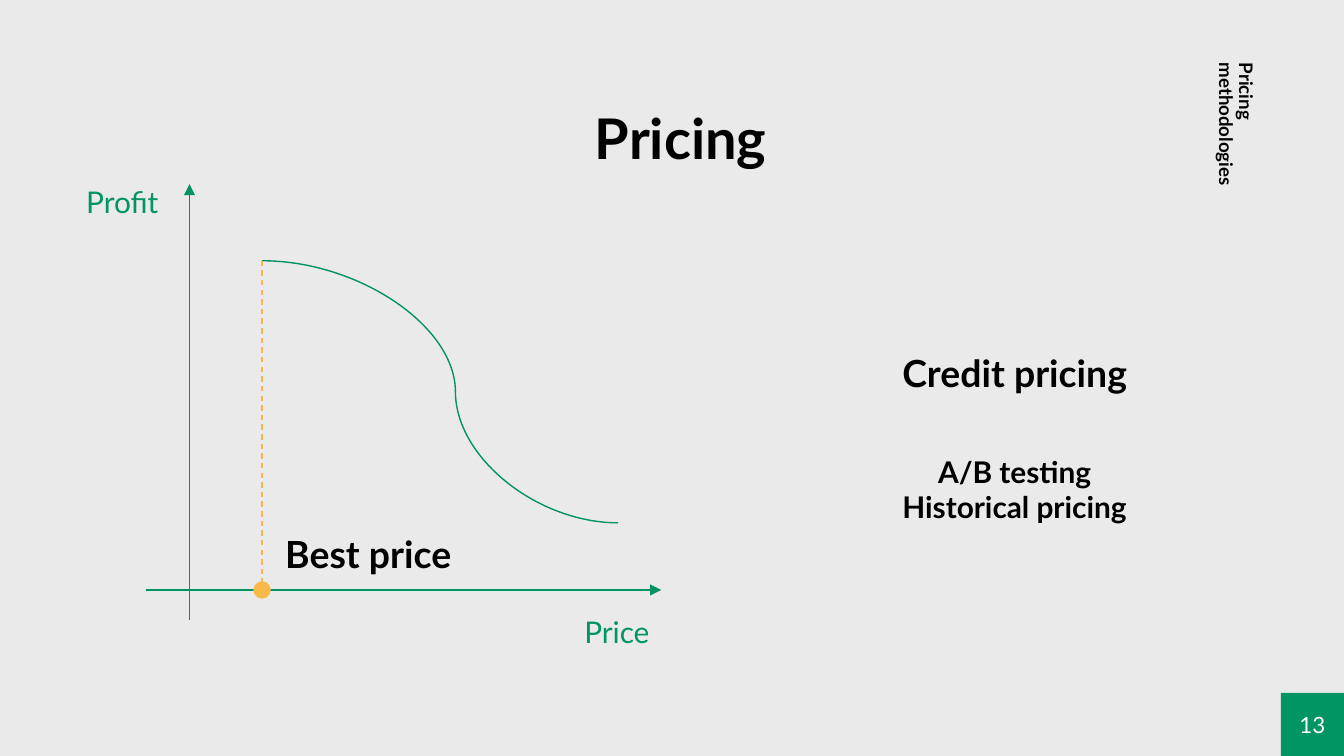
from lxml import etree
from pptx import Presentation
from pptx.dml.color import RGBColor
from pptx.enum.dml import MSO_LINE
from pptx.enum.shapes import MSO_CONNECTOR, MSO_SHAPE
from pptx.enum.text import MSO_ANCHOR, MSO_AUTO_SIZE, PP_ALIGN
from pptx.oxml.ns import qn
from pptx.util import Inches, Pt

STRAIGHT, CURVE = MSO_CONNECTOR.STRAIGHT, MSO_CONNECTOR.CURVE
RECTANGLE, OVAL = MSO_SHAPE.RECTANGLE, MSO_SHAPE.OVAL
TOP, MIDDLE = MSO_ANCHOR.TOP, MSO_ANCHOR.MIDDLE
LEFT, CENTER = PP_ALIGN.LEFT, PP_ALIGN.CENTER
DASH = MSO_LINE.DASH
NO_AUTOFIT = MSO_AUTO_SIZE.NONE

BACKGROUND = RGBColor(0xEA, 0xEA, 0xEA)
GREEN = RGBColor(0x00, 0x95, 0x63)
LINE_GREEN = RGBColor(0x00, 0x92, 0x61)
YELLOW = RGBColor(0xF7, 0xB9, 0x49)
BLACK = RGBColor(0, 0, 0)
SOFT_BLACK = RGBColor(0x03, 0x03, 0x03)
WHITE = RGBColor(0xFF, 0xFF, 0xFF)

TITLE = "Pricing"
SECTION = "Pricing methodologies"
PAGE_NUMBER = "13"
LABELS = [
    (["Profit"], (-0.5, 1.15, 2.82, 0.7), 16, GREEN, False),
    (["Price"], (3.28, 4.35, 2.62, 0.7), 16, GREEN, False),
    (["Best price"], (1.33, 3.77, 2.82, 0.7), 20, BLACK, True),
    (["Credit pricing"], (6.14, 2.14, 2.82, 1.26), 20, BLACK, True),
    (["A/B testing", "Historical pricing"], (5.9, 3.01, 3.3, 1.26), 16, BLACK, True),
]

WIDTH = 10
HEIGHT = WIDTH * 9 / 16
AXIS_X, AXIS_Y = 1.41, 4.39
BEST_X, BEST_Y = 1.95, 1.94
MARKER = 0.13
PAGE_BOX = 0.47
AXES = [
    ((AXIS_X, 4.61), (AXIS_X, 1.37)),
    ((1.09, AXIS_Y), (4.92, AXIS_Y)),
]
CURVE_END = (4.6, 3.89)
CURVE_BEND = 54300


def inches(values):
    return [Inches(value) for value in values]


def write(shape, lines, size, color, bold=False, align=CENTER, anchor=MIDDLE,
          side_margins=(0.1, 0.1), spacing=None):
    frame = shape.text_frame
    left, right = inches(side_margins)
    frame_format = {
        "word_wrap": True, "auto_size": NO_AUTOFIT, "vertical_anchor": anchor,
        "margin_left": left, "margin_right": right,
        "margin_top": Inches(0.1), "margin_bottom": Inches(0.1),
    }
    for name, value in frame_format.items():
        setattr(frame, name, value)
    frame.text = "\n".join(lines)
    font_format = {"name": "Lato", "size": Pt(size), "bold": bold}
    for paragraph in frame.paragraphs:
        paragraph.alignment = align
        paragraph.line_spacing = spacing
        font = paragraph.runs[0].font
        for name, value in font_format.items():
            setattr(font, name, value)
        font.color.rgb = color


def add_filled(slide, kind, box, color):
    shape = slide.shapes.add_shape(kind, *inches(box))
    shape.shadow.inherit = False
    shape.fill.solid()
    shape.fill.fore_color.rgb = color
    shape.line.fill.background()
    return shape


def add_line(slide, kind, start, end, color, arrow=False):
    connector = slide.shapes.add_connector(kind, *inches(start + end))
    connector.line.color.rgb = color
    connector.line.width = Pt(0.75)
    properties = connector._element.spPr
    etree.SubElement(properties, qn("a:effectLst"))
    if arrow:
        outline = properties.find(qn("a:ln"))
        etree.SubElement(outline, qn("a:tailEnd"), type="triangle")
    return connector


def main():
    presentation = Presentation()
    presentation.slide_width = Inches(WIDTH)
    presentation.slide_height = Inches(HEIGHT)
    slide = presentation.slides.add_slide(presentation.slide_layouts[5])
    slide.background.fill.solid()
    slide.background.fill.fore_color.rgb = BACKGROUND

    title = slide.shapes.title
    title.left, title.top, title.width, title.height = inches((0.9, 0.67, 8.43, 0.63))
    write(title, [TITLE], 30, BLACK, True, anchor=TOP, side_margins=(0, 0.1))

    page_corner = (WIDTH - PAGE_BOX, HEIGHT - PAGE_BOX, PAGE_BOX, PAGE_BOX)
    page = add_filled(slide, RECTANGLE, page_corner, GREEN)
    write(page, [PAGE_NUMBER], 12, WHITE)

    section = slide.shapes.add_textbox(*inches((8.42, 0.73, 1.38, 0.66)))
    section.rotation = 90
    write(section, [SECTION], 10, SOFT_BLACK, True, LEFT, TOP, spacing=0.9)

    for start, end in AXES:
        add_line(slide, STRAIGHT, start, end, LINE_GREEN, arrow=True)
    demand = add_line(slide, CURVE, (BEST_X, BEST_Y), CURVE_END, LINE_GREEN)
    adjustments = demand._element.spPr.find(qn("a:prstGeom")).get_or_add_avLst()
    etree.SubElement(adjustments, qn("a:gd"), name="adj1", fmla=f"val {CURVE_BEND}")

    guide = add_line(slide, STRAIGHT, (BEST_X, BEST_Y), (BEST_X, AXIS_Y), YELLOW)
    guide.line.dash_style = DASH
    marker_box = (BEST_X - MARKER / 2, AXIS_Y - MARKER / 2, MARKER, MARKER)
    add_filled(slide, OVAL, marker_box, YELLOW)

    for lines, box, size, color, bold in LABELS:
        label = slide.shapes.add_textbox(*inches(box))
        write(label, lines, size, color, bold, side_margins=(0, 0))

    presentation.save("out.pptx")


if __name__ == "__main__":
    main()
